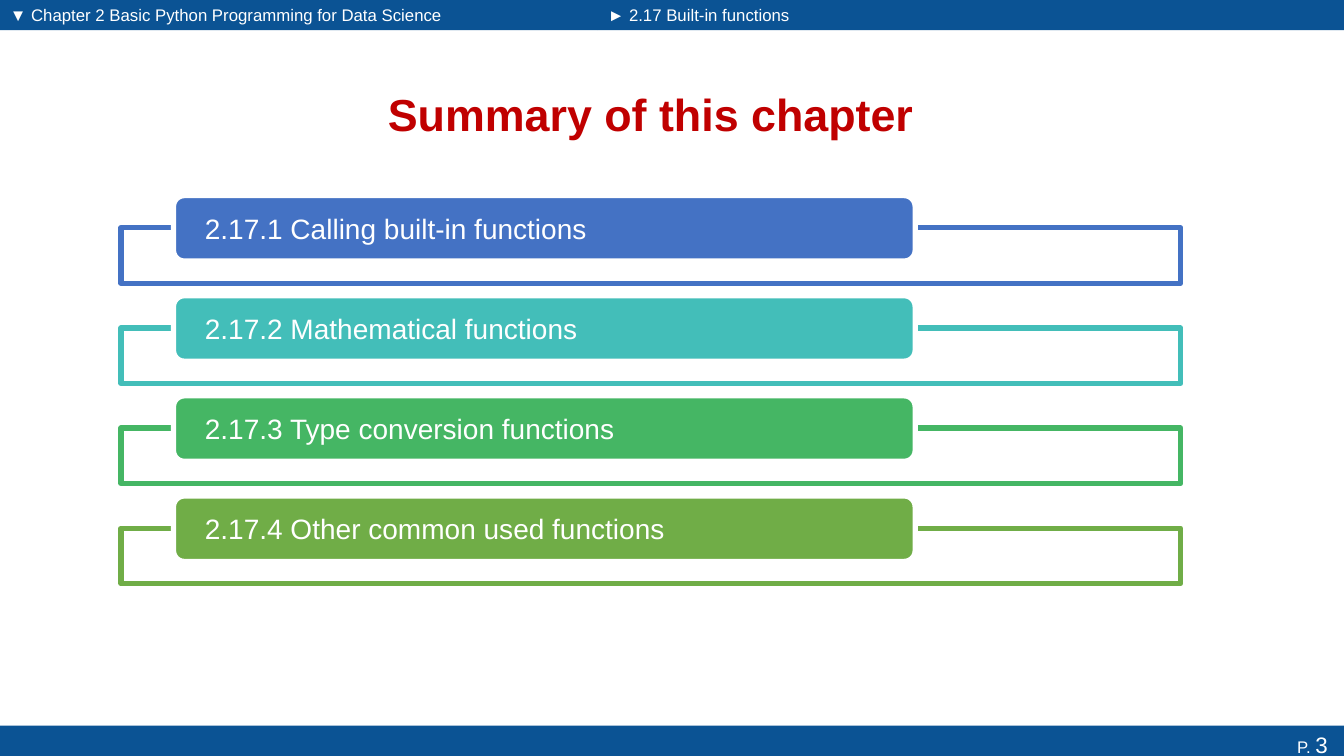
from pptx import Presentation
from pptx.dml.color import RGBColor
from pptx.enum.shapes import MSO_SHAPE
from pptx.enum.text import MSO_ANCHOR, PP_ALIGN
from pptx.util import Inches, Pt

COLORS = {
    "bar": "0B5394", "title": "C00000", "white": "FFFFFF",
    "blue": "4472C4", "teal": "43BEB9", "green": "45B664", "olive": "70AD47",
}
SECTIONS = [
    ("2.17.1 Calling built-in functions", "blue"),
    ("2.17.2 Mathematical functions", "teal"),
    ("2.17.3 Type conversion functions", "green"),
    ("2.17.4 Other common used functions", "olive"),
]
FONT = "Arial"


def rgb(name):
    """Return the named colour."""
    return RGBColor.from_string(COLORS[name])


def add_block(page, box, fill, line=None, kind=MSO_SHAPE.RECTANGLE):
    """Add a flat filled shape, outlined when a line colour is given."""
    block = page.shapes.add_shape(kind, *map(Inches, box))
    block.shadow.inherit = False
    block.fill.solid()
    block.fill.fore_color.rgb = rgb(fill)
    if line:
        block.line.color.rgb = rgb(line)
        block.line.width = Pt(3.78)
    else:
        block.line.fill.background()
    return block


def write(shape, spans, color="white", align=PP_ALIGN.LEFT, bold=False, inset=(0.1, 0.1)):
    """Write sized spans as one vertically centred paragraph."""
    frame = shape.text_frame
    settings = {
        "word_wrap": True, "vertical_anchor": MSO_ANCHOR.MIDDLE,
        "margin_left": Inches(inset[0]), "margin_right": Inches(inset[1]),
        "margin_top": 0, "margin_bottom": 0,
    }
    for name, value in settings.items():
        setattr(frame, name, value)
    para = frame.paragraphs[0]
    para.alignment = align
    for text, size in spans:
        span = para.add_run()
        span.text = text
        for name, value in {"name": FONT, "size": Pt(size), "bold": bold}.items():
            setattr(span.font, name, value)
        span.font.color.rgb = rgb(color)


def add_header(page, box, split):
    """Place the chapter and section bars on either side of the split."""
    left, top, width, height = box
    chapter = add_block(page, (left, top, split, height), "bar")
    write(chapter, [("▼ Chapter 2 Basic Python Programming for Data Science", 12)])
    section = add_block(page, (left + split, top, width - split, height), "bar")
    write(section, [("► 2.17 Built-in functions", 12)])


def add_footer(page, box):
    """Place the bottom bar with the page number."""
    bar = add_block(page, box, "bar")
    write(bar, [("P. ", 12), ("3", 16)], align=PP_ALIGN.RIGHT, inset=(0.1, 0.16))


def add_title(page, box):
    """Place the centred slide title."""
    title = page.shapes.add_textbox(*map(Inches, box))
    write(title, [("Summary of this chapter", 32)], "title", PP_ALIGN.CENTER, bold=True)


def add_sections(page, box, row_height=0.87):
    """Stack one outlined frame with a rounded label for each section."""
    left, top, width, height = box
    pitch = (height - row_height) / (len(SECTIONS) - 1)
    for index, (text, color) in enumerate(SECTIONS):
        row_top = top + index * pitch
        add_block(page, (left, row_top + 0.32, width, 0.55), "white", color)
        label = add_block(page, (left + 0.52, row_top, width * 0.7, 0.65),
                          color, "white", MSO_SHAPE.ROUNDED_RECTANGLE)
        write(label, [(text, 20)], inset=(0.28, 0.28))


def main():
    """Build and save the summary slide."""
    deck = Presentation()
    deck.slide_width, deck.slide_height = Inches(13.33), Inches(7.5)
    page = deck.slides.add_slide(deck.slide_layouts[6])
    add_header(page, (0, 0, 13.33, 0.3), 5.93)
    add_footer(page, (0, 7.2, 13.33, 0.37))
    add_title(page, (2.51, 0.68, 7.89, 0.9))
    add_sections(page, (1.2, 1.94, 10.51, 3.85))
    deck.save("out.pptx")


if __name__ == "__main__":
    main()
